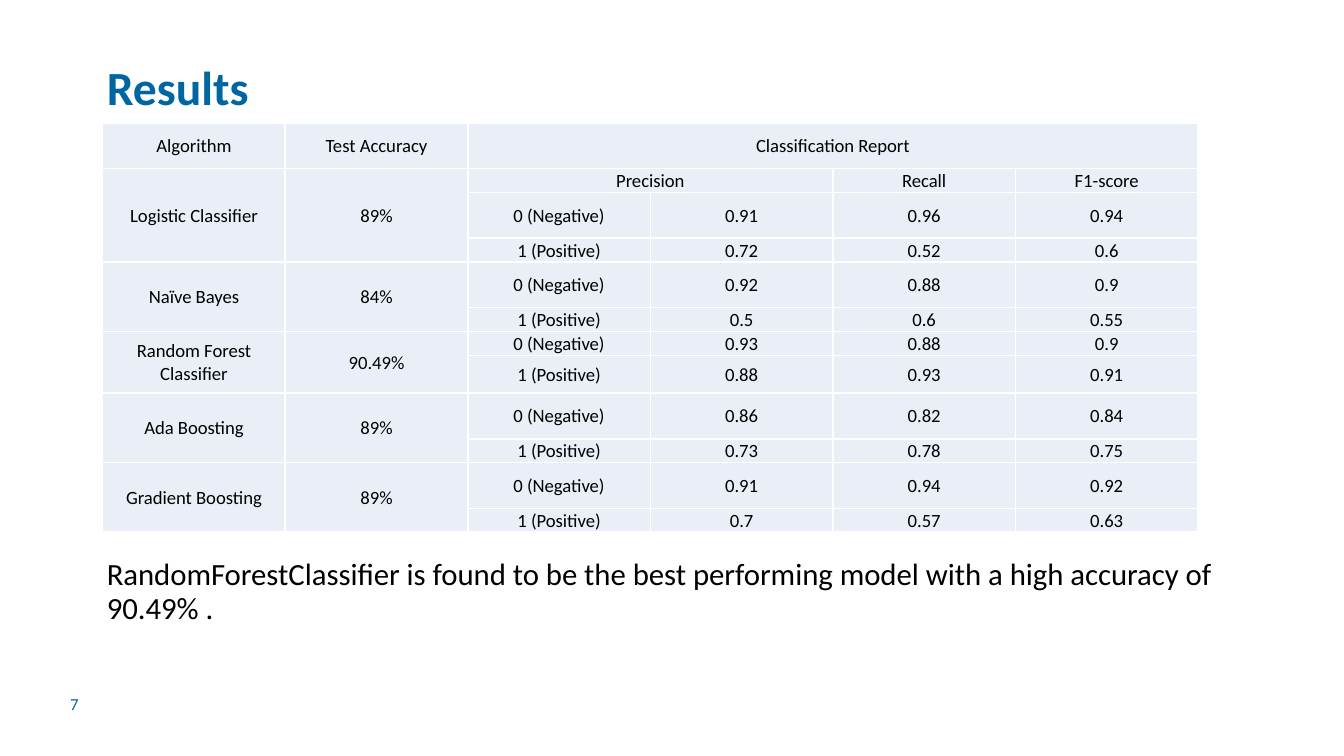
from lxml.etree import SubElement
from pptx import Presentation
from pptx.dml.color import RGBColor
from pptx.enum.text import MSO_ANCHOR, MSO_AUTO_SIZE, PP_ALIGN
from pptx.oxml.ns import qn
from pptx.util import Pt

TITLE = "Results"
CONCLUSION = ("RandomForestClassifier is found to be the best performing model "
              "with a high accuracy of 90.49% .")
PAGE_NUMBER = "7"
HEADINGS = ["Algorithm", "Test Accuracy", "Classification Report"]
METRICS = ["Precision", "", "Recall", "F1-score"]
CLASSES = ["0 (Negative)", "1 (Positive)"]
RESULTS = [
    ("Logistic Classifier", "89%", ["0.91", "0.96", "0.94"], ["0.72", "0.52", "0.6"]),
    ("Naïve Bayes", "84%", ["0.92", "0.88", "0.9"], ["0.5", "0.6", "0.55"]),
    ("Random Forest Classifier", "90.49%", ["0.93", "0.88", "0.9"], ["0.88", "0.93", "0.91"]),
    ("Ada Boosting", "89%", ["0.86", "0.82", "0.84"], ["0.73", "0.78", "0.75"]),
    ("Gradient Boosting", "89%", ["0.91", "0.94", "0.92"], ["0.7", "0.57", "0.63"]),
]
BLUE, BLACK, WHITE, PALE = "0066A1", "000000", "FFFFFF", "EAEFF7"
TALL, SHORT, MEDIUM = 24.5, 12.8, 20.2
ROW_HEIGHTS = [TALL, SHORT, *[TALL, SHORT] * 2, SHORT, MEDIUM, *[TALL, SHORT] * 2]
COLUMN_COUNT, COLUMN_WIDTH = 6, 97.8


def color(code):
    return RGBColor.from_string(code)


def write(frame, text, size, ink=BLACK, bold=False, align=PP_ALIGN.LEFT,
          anchor=MSO_ANCHOR.TOP, spacing=1.0):
    frame.word_wrap = True
    frame.vertical_anchor = anchor
    paragraph = frame.paragraphs[0]
    paragraph.alignment = align
    paragraph.line_spacing = spacing
    paragraph.space_before = Pt(0)
    run = paragraph.add_run()
    run.text = text
    run.font.name, run.font.size, run.font.bold = "Calibri", Pt(size), bold
    run.font.color.rgb = color(ink)
    return paragraph


def place(shape, left, top, width, height):
    shape.left, shape.top, shape.width, shape.height = map(Pt, (left, top, width, height))
    shape.text_frame.auto_size = MSO_AUTO_SIZE.NONE


def style_cell(cell):
    cell.margin_left = cell.margin_top = cell.margin_right = Pt(0.72)
    cell.margin_bottom = Pt(0)
    properties = cell._tc.get_or_add_tcPr()
    for side in ("a:lnL", "a:lnR", "a:lnT", "a:lnB"):
        border = SubElement(properties, qn(side), w=str(Pt(1)))
        SubElement(SubElement(border, qn("a:solidFill")), qn("a:srgbClr"), val=WHITE)
    cell.fill.solid()
    cell.fill.fore_color.rgb = color(PALE)


def table_rows():
    """Return the cell texts of every row and the ranges to merge."""
    rows = [HEADINGS + [""] * 3, ["", ""] + METRICS]
    merges = [(0, 2, 0, 5), (1, 2, 1, 3)]
    for index, (algorithm, accuracy, *scores) in enumerate(RESULTS):
        first = 1 if index == 0 else len(rows)
        rows += [["", "", label, *values] for label, values in zip(CLASSES, scores)]
        rows[first][:2] = [algorithm, accuracy]
        merges += [(first, column, len(rows) - 1, column) for column in (0, 1)]
    return rows, merges


def add_results(slide):
    rows, merges = table_rows()
    results = slide.shapes.add_table(
        len(rows), COLUMN_COUNT, Pt(55), Pt(65.8),
        Pt(COLUMN_COUNT * COLUMN_WIDTH), Pt(sum(ROW_HEIGHTS))).table
    results.first_row = results.horz_banding = False
    for column in results.columns:
        column.width = Pt(COLUMN_WIDTH)
    for r, (texts, height) in enumerate(zip(rows, ROW_HEIGHTS)):
        results.rows[r].height = Pt(height)
        for c, text in enumerate(texts):
            cell = results.cell(r, c)
            style_cell(cell)
            write(cell.text_frame, text, 10, align=PP_ALIGN.CENTER)
            cell.vertical_anchor = MSO_ANCHOR.MIDDLE
    for top, left, bottom, right in merges:
        results.cell(top, left).merge(results.cell(bottom, right))


def main():
    deck = Presentation()
    deck.slide_width, deck.slide_height = Pt(720), Pt(405)
    slide = deck.slides.add_slide(deck.slide_layouts[1])
    title, conclusion = slide.placeholders

    place(title, 50, 33, 620.5, 32.5)
    write(title.text_frame, TITLE, 25.5, BLUE, True, anchor=MSO_ANCHOR.BOTTOM, spacing=0.9)

    place(conclusion, 50, 296, 620.5, 81)
    paragraph = write(conclusion.text_frame, CONCLUSION, 16.5, spacing=0.9)
    layout = paragraph._p.get_or_add_pPr()
    layout.set("marL", "0")
    layout.set("indent", "0")
    SubElement(layout, qn("a:buNone"))

    page = slide.shapes.add_textbox(Pt(30.5), Pt(366.5), Pt(38), Pt(21.5))
    write(page.text_frame, PAGE_NUMBER, 9, BLUE, anchor=MSO_ANCHOR.MIDDLE)

    add_results(slide)
    deck.save("out.pptx")


if __name__ == "__main__":
    main()
